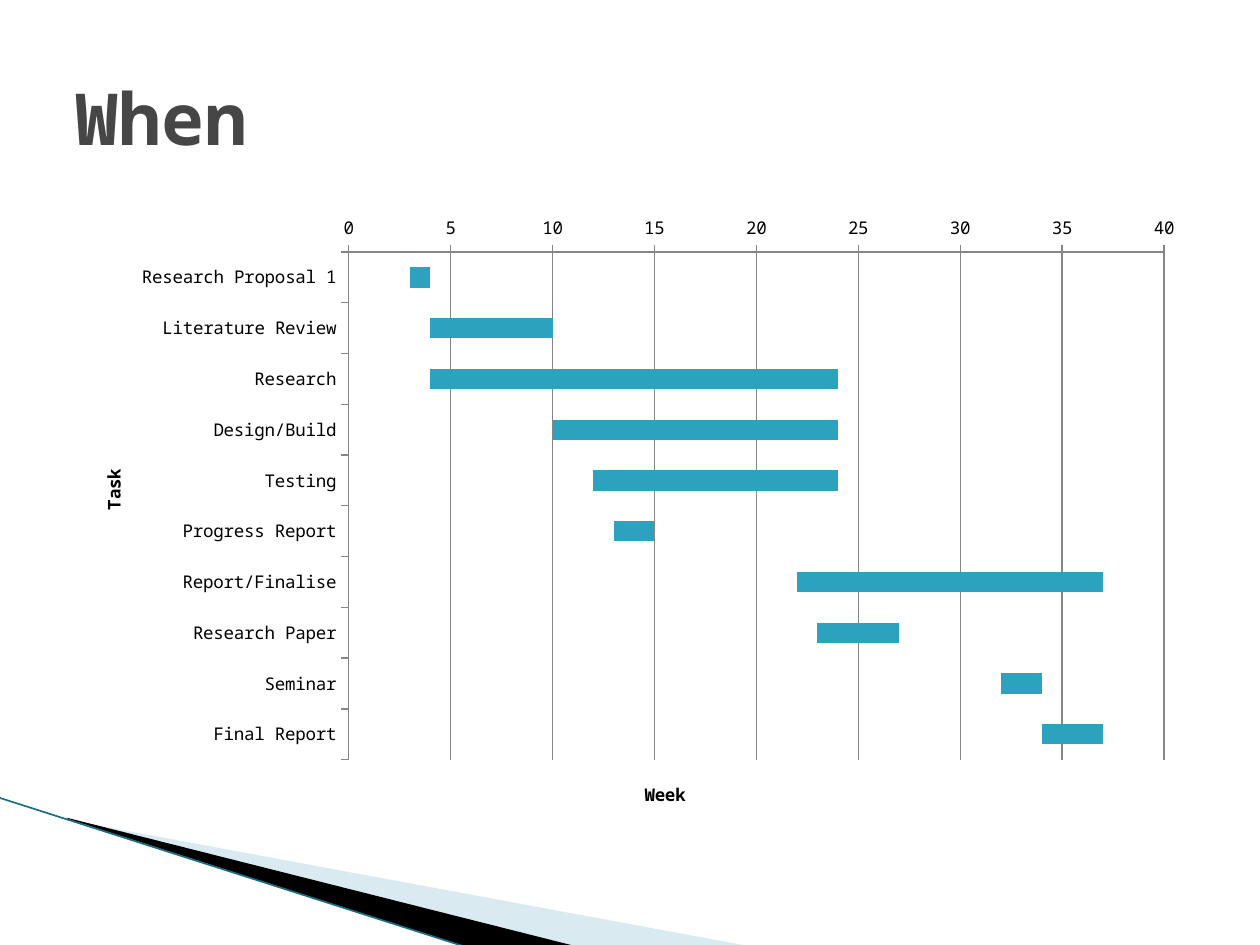
from lxml.etree import SubElement
from pptx import Presentation
from pptx.chart.data import CategoryChartData
from pptx.dml.color import RGBColor
from pptx.enum.chart import XL_CHART_TYPE, XL_TICK_MARK
from pptx.enum.shapes import MSO_CONNECTOR
from pptx.enum.text import MSO_ANCHOR, PP_ALIGN
from pptx.oxml.ns import qn
from pptx.oxml.xmlchemy import OxmlElement
from pptx.util import Inches, Pt

FONT = "Noto Sans Mono"
COLORS = {
    "title": "464646", "text": "000000", "bar": "2DA2BF", "axis": "868686",
    "pale": "A0CBDC", "dark": "000000", "edge": "1B6E82",
}
TASKS = [
    ("Research Proposal 1", 3, 1),
    ("Literature Review", 4, 6),
    ("Research", 4, 20),
    ("Design/Build", 10, 14),
    ("Testing", 12, 12),
    ("Progress Report", 13, 2),
    ("Report/Finalise", 22, 15),
    ("Research Paper", 23, 4),
    ("Seminar", 32, 2),
    ("Final Report", 34, 3),
]
WEDGES = [
    ("pale", 40, [(0.55, 6.51), (5.95, 7.51), (4.56, 7.51), (0.55, 6.5)]),
    ("dark", 100, [(0.53, 6.49), (4.57, 7.51), (3.72, 7.52), (0.54, 6.5)]),
]
EDGE = (-0.01, 6.33, 3.71, 7.52)
TITLE_BOX = (0.5, 0.3, 9, 1.25)
CHART_BOX = (0.5, 1.62, 9, 4.95)
PLOT_LAYOUT = {"layoutTarget": "inner", "xMode": "edge", "yMode": "edge",
               "x": 0.252, "y": 0.077, "w": 0.719, "h": 0.814}
WEEK_LAYOUT = {"xMode": "edge", "yMode": "edge", "x": 0.51, "y": 0.92}
TASK_LAYOUT = {"xMode": "edge", "yMode": "edge", "x": 0.03, "y": 0.42}


def rgb(name):
    return RGBColor.from_string(COLORS[name])


def set_font(font, size, color, bold):
    values = {"name": FONT, "size": Pt(size), "bold": bold}
    for key, value in values.items():
        setattr(font, key, value)
    font.color.rgb = rgb(color)


def set_layout(parent, position, values):
    layout = parent.find(qn("c:layout"))
    if layout is None:
        layout = OxmlElement("c:layout")
        parent.insert(position, layout)
    manual = SubElement(layout, qn("c:manualLayout"))
    for key, value in values.items():
        SubElement(manual, qn(f"c:{key}")).set("val", str(value))


def style_line(line, color, width):
    line.color.rgb = rgb(color)
    line.width = Pt(width)


prs = Presentation()
prs.slide_width, prs.slide_height = Inches(10), Inches(7.5)
slide = prs.slides.add_slide(prs.slide_layouts[5])

for color, opacity, points in WEDGES:
    corners = [(Inches(x), Inches(y)) for x, y in points]
    builder = slide.shapes.build_freeform(*corners[0])
    builder.add_line_segments(corners[1:], close=True)
    wedge = builder.convert_to_shape()
    wedge.shadow.inherit = False
    wedge.fill.solid()
    wedge.fill.fore_color.rgb = rgb(color)
    wedge.line.fill.background()
    if opacity < 100:
        fill_color = wedge.fill._xPr.find(qn("a:solidFill"))[0]
        SubElement(fill_color, qn("a:alpha")).set("val", str(opacity * 1000))

edge = slide.shapes.add_connector(MSO_CONNECTOR.STRAIGHT, *map(Inches, EDGE))
style_line(edge.line, "edge", 0.95)
SubElement(edge._element.spPr, qn("a:effectLst"))

heading = slide.shapes.title
heading.left, heading.top, heading.width, heading.height = map(Inches, TITLE_BOX)
heading.text_frame.text = "When"
heading.text_frame.vertical_anchor = MSO_ANCHOR.MIDDLE
heading_line = heading.text_frame.paragraphs[0]
heading_line.alignment = PP_ALIGN.LEFT
set_font(heading_line.runs[0].font, 41, "title", True)

names, starts, durations = zip(*TASKS)
schedule = CategoryChartData()
schedule.categories = names
schedule.add_series("Series 1", starts)
schedule.add_series("Series 2", durations)
gantt = slide.shapes.add_chart(
    XL_CHART_TYPE.BAR_STACKED, *map(Inches, CHART_BOX), schedule).chart
gantt.has_legend = False
gantt.has_title = False
set_font(gantt.font, 10, "text", False)

bars = gantt.plots[0]
for key, value in {"gap_width": 150, "overlap": 100, "vary_by_categories": False}.items():
    setattr(bars, key, value)
offset, duration = bars.series
offset.format.fill.background()
offset.format.line.fill.background()
duration.format.fill.solid()
duration.format.fill.fore_color.rgb = rgb("bar")

task_axis, week_axis = gantt.category_axis, gantt.value_axis
AXES = [
    (task_axis, "Task", TASK_LAYOUT,
     {"reverse_order": True, "has_major_gridlines": False}),
    (week_axis, "Week", WEEK_LAYOUT,
     {"minimum_scale": 0, "maximum_scale": 40, "major_unit": 5,
      "has_major_gridlines": True}),
]
for axis, label, layout, values in AXES:
    for key, value in values.items():
        setattr(axis, key, value)
    axis.major_tick_mark = XL_TICK_MARK.OUTSIDE
    axis.minor_tick_mark = XL_TICK_MARK.NONE
    style_line(axis.format.line, "axis", 0.75)
    set_font(axis.tick_labels.font, 10, "text", False)
    axis.axis_title.text_frame.text = label
    set_font(axis.axis_title.text_frame.paragraphs[0].runs[0].font, 10, "text", True)
    set_layout(axis.axis_title._element, 1, layout)
style_line(week_axis.major_gridlines.format.line, "axis", 0.75)
task_axis.axis_title.text_frame._txBody.bodyPr.set("rot", "-5400000")
task_axis.axis_title.text_frame._txBody.bodyPr.set("vert", "horz")
set_layout(gantt._chartSpace.chart.plotArea, 0, PLOT_LAYOUT)

prs.save("out.pptx")
